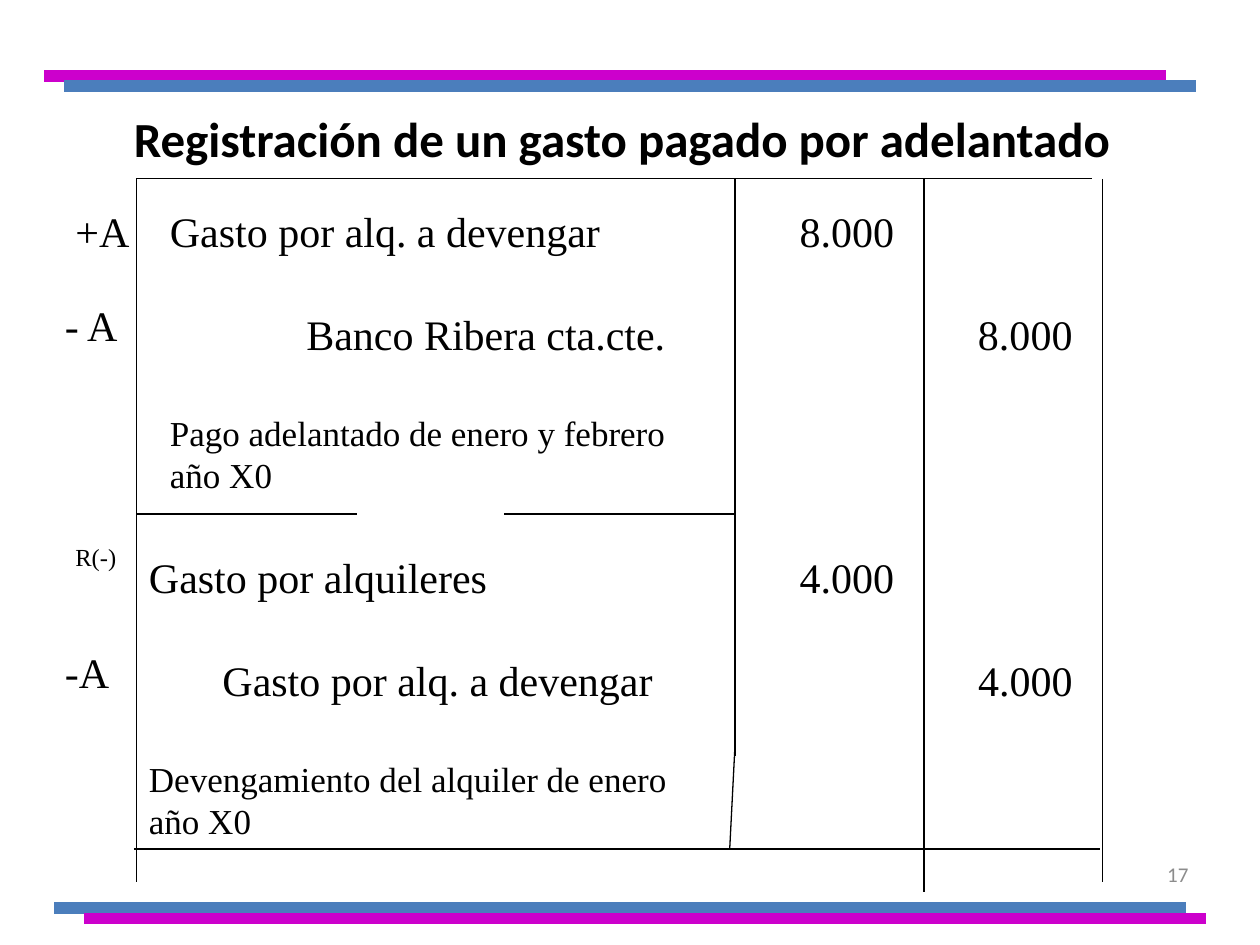
from dataclasses import dataclass

from lxml import etree
from pptx import Presentation
from pptx.dml.color import RGBColor
from pptx.enum.shapes import MSO_CONNECTOR
from pptx.enum.text import MSO_ANCHOR, PP_ALIGN
from pptx.oxml.ns import qn
from pptx.util import Pt

STRAIGHT = MSO_CONNECTOR.STRAIGHT
TOP, MIDDLE = MSO_ANCHOR.TOP, MSO_ANCHOR.MIDDLE
LEFT, CENTER, RIGHT = PP_ALIGN.LEFT, PP_ALIGN.CENTER, PP_ALIGN.RIGHT


@dataclass(frozen=True)
class Theme:
    """Colours, fonts and sizes of the slide."""
    ink: RGBColor = RGBColor(0x00, 0x00, 0x00)
    blue: RGBColor = RGBColor(0x4B, 0x7E, 0xBC)
    magenta: RGBColor = RGBColor(0xCC, 0x00, 0xCC)
    grey: RGBColor = RGBColor(0x8C, 0x8C, 0x8C)
    heading_font: str = "Calibri"
    ledger_font: str = "Times New Roman"
    title: int = 28
    account: int = 24
    note: int = 20
    small_mark: int = 14
    page: int = 12
    rule: float = 0.75
    band: float = 6.75


THEME = Theme()


def add_line(slide, start, end, color=THEME.ink, weight=THEME.rule):
    """Draw a straight line without shadow between two points."""
    line = slide.shapes.add_connector(STRAIGHT, *map(Pt, (*start, *end)))
    line.line.color.rgb = color
    line.line.width = Pt(weight)
    properties = line._element.find(qn("p:spPr"))
    etree.SubElement(properties, qn("a:effectLst"))


def add_frame(slide, box, anchor=TOP):
    """Add a wrapping text box and return its text frame."""
    frame = slide.shapes.add_textbox(*map(Pt, box)).text_frame
    frame.word_wrap = True
    frame.vertical_anchor = anchor
    return frame


def style(paragraph, size, font=THEME.ledger_font, color=THEME.ink, bold=False, align=LEFT):
    """Format a paragraph and its runs."""
    paragraph.alignment = align
    for run in paragraph.runs:
        run.font.size = Pt(size)
        run.font.name = font
        run.font.bold = bold
        run.font.color.rgb = color


def add_tabs(paragraph, stops):
    """Give a paragraph tab stops as pairs of position and alignment."""
    tabs = etree.SubElement(paragraph._p.get_or_add_pPr(), qn("a:tabLst"))
    for position, alignment in stops:
        etree.SubElement(tabs, qn("a:tab"), pos=str(Pt(position)), algn=alignment)


def add_bands(slide, box, bands):
    """Draw coloured bands given as offset, drop, length and colour."""
    left, top = box[:2]
    for offset, drop, length, color in bands:
        start = (left + offset, top + drop)
        add_line(slide, start, (start[0] + length, start[1]), color, THEME.band)


def add_title(slide, box, wording):
    """Write the slide title."""
    frame = add_frame(slide, box, MIDDLE)
    frame.text = wording
    style(frame.paragraphs[0], THEME.title, THEME.heading_font, bold=True, align=CENTER)


def add_ledger_rules(slide, box):
    """Draw the rules of the journal page."""
    left, top, width, height = box
    right, bottom = left + width, top + height
    debit, credit = left + 342, left + 450
    foot, divider, overlap = top + 383, top + 191.5, top + 324
    for start, end in (
        ((left, top), (right - 6, top)),
        ((left, top), (left, bottom)),
        ((right, top), (right, bottom)),
        ((debit, top), (debit, top + 330)),
        ((credit, top), (credit, top + 330)),
        ((debit, overlap), (debit - 3, foot)),
        ((credit, overlap), (credit, bottom + 6)),
        ((left - 1.5, foot), (right - 1.5, foot)),
        ((left, divider), (left + 126, divider)),
        ((left + 210, divider), (debit, divider)),
    ):
        add_line(slide, start, end)


def add_entry(slide, box, indent, debited, credited, amount, note):
    """Write a journal entry: debit, credit and a two-line note."""
    frame = add_frame(slide, box)
    inset = 7.2
    debit_edge, credit_edge = (edge - box[0] - inset for edge in (511, 613))
    frame.text = "\n".join((f"{debited}\t{amount}", f"\t{credited}\t{amount}", *note))
    debit_line, credit_line, *note_lines = frame.paragraphs
    credit_line.space_before = note_lines[0].space_before = Pt(30)
    add_tabs(debit_line, [(debit_edge, "r")])
    add_tabs(credit_line, [(indent, "l"), (credit_edge, "r")])
    for line in (debit_line, credit_line):
        style(line, THEME.account)
    for line in note_lines:
        style(line, THEME.note)


def add_mark(slide, box, wording, size=THEME.account):
    """Write an account-variation mark in the margin."""
    frame = add_frame(slide, box)
    frame.text = wording
    style(frame.paragraphs[0], size)


def add_page_number(slide, box, number):
    """Write the page number."""
    frame = add_frame(slide, box, MIDDLE)
    frame.text = number
    style(frame.paragraphs[0], THEME.page, THEME.heading_font, THEME.grey, align=RIGHT)


def main():
    """Build and save the slide."""
    deck = Presentation()
    deck.slide_width, deck.slide_height = Pt(720), Pt(540)
    slide = deck.slides.add_slide(deck.slide_layouts[6])

    add_title(slide, (25.2, 54.7, 660.2, 48.2), "Registración de un gasto pagado por adelantado")
    add_ledger_rules(slide, (78, 102.2, 552, 401.8))
    add_entry(slide, (90, 113.8, 596, 201), 78,
              "Gasto por alq. a devengar", "Banco Ribera cta.cte.", "8.000",
              ("Pago adelantado de enero y febrero", "año X0"))
    add_entry(slide, (78, 311.8, 547, 172), 42,
              "Gasto por alquileres", "Gasto por alq. a devengar", "4.000",
              ("Devengamiento del alquiler de enero", "año X0"))
    add_mark(slide, (36, 113.8, 48, 36), "+A")
    add_mark(slide, (30, 167.8, 48, 36), "- A")
    add_mark(slide, (36, 306, 42, 24.5), "R(-)", THEME.small_mark)
    add_mark(slide, (30, 365.8, 48, 36), "-A")
    add_bands(slide, (25.2, 43.2, 658, 5.8),
              ((0, 0, 640.8, THEME.magenta), (11.5, 5.8, 646.6, THEME.blue)))
    add_bands(slide, (31, 519.1, 658, 5.8),
              ((0, 0, 646.6, THEME.blue), (17.3, 5.8, 640.8, THEME.magenta)))
    add_page_number(slide, (518.4, 485.3, 167.8, 28.8), "17")
    deck.save("out.pptx")


if __name__ == "__main__":
    main()
